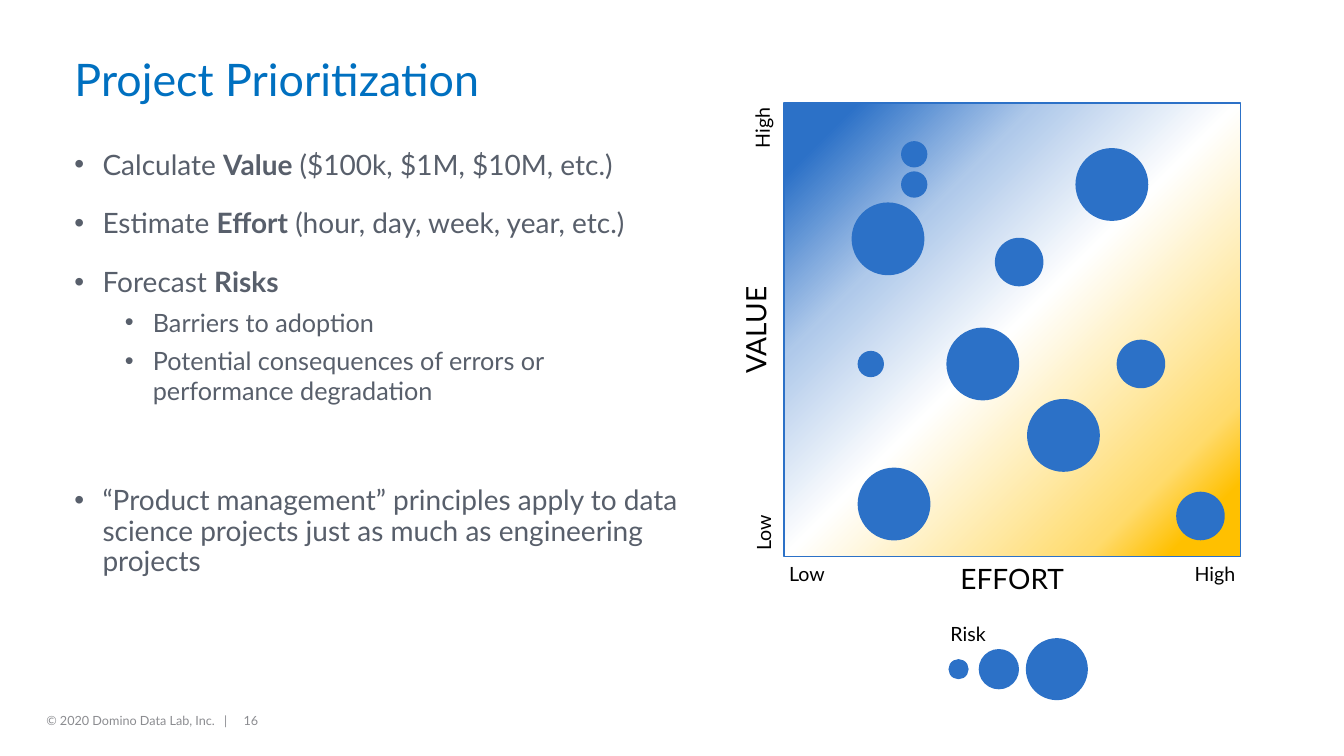
"""Build the project prioritization slide with its value and effort map."""
from lxml.etree import SubElement
from pptx import Presentation
from pptx.dml.color import RGBColor
from pptx.enum.shapes import MSO_SHAPE
from pptx.enum.text import MSO_ANCHOR, MSO_AUTO_SIZE, PP_ALIGN
from pptx.oxml.ns import qn
from pptx.util import Pt

FONT = "Lato"
BLUE = RGBColor(0x2C, 0x71, 0xC7)
TITLE_BLUE = RGBColor(0x00, 0x70, 0xC0)
SLATE = RGBColor(0x58, 0x5F, 0x6B)
GRAY = RGBColor(0x8B, 0x8C, 0x90)
BLACK = RGBColor(0, 0, 0)
LIGHT_BLUE = RGBColor(0xAF, 0xC9, 0xEA)
WHITE = RGBColor(0xFF, 0xFF, 0xFF)
LIGHT_GOLD = RGBColor(0xFF, 0xDB, 0x6D)
GOLD = RGBColor(0xFF, 0xC0, 0x00)
LEFT, CENTER, RIGHT = PP_ALIGN.LEFT, PP_ALIGN.CENTER, PP_ALIGN.RIGHT

TITLE = "Project Prioritization"
FOOTER = "© 2020 Domino Data Lab, Inc.\t|\t16"
FOOTER_TABS = (127, 141)

# level, space before, line spacing, runs as (text, bold)
BULLETS = [
    (0, 0, 1, [("Calculate ", False), ("Value", True),
               (" ($100k, $1M, $10M, etc.)", False)]),
    (0, 18, 1, [("Estimate ", False), ("Effort", True),
                (" (hour, day, week, year, etc.)", False)]),
    (0, 18, 1, [("Forecast ", False), ("Risks", True)]),
    (1, 6, 1, [("Barriers to adoption", False)]),
    (1, 6, 1, [("Potential consequences of errors or performance degradation",
                False)]),
    (0, 57.6, 0.9, [("“Product management” principles apply to data science "
                     "projects just as much as engineering projects", False)]),
]
LEVELS = {0: (20, 20), 1: (18, 56)}
HANGING = 20

MAP_BOX = (560, 73.5, 326, 324)
GRADIENT = [(8, BLUE), (28, LIGHT_BLUE), (50, WHITE), (83, LIGHT_GOLD), (92, GOLD)]
BUBBLES = {
    49: [(634.3, 170.6), (638.6, 360), (759.6, 311), (794.2, 131.8), (702, 260)],
    31.7: [(857.5, 368.6), (728, 187.2), (815, 260)],
    15.8: [(622, 260), (653, 110.2), (653, 131.8)],
}
LEGEND = [(754.9, 44.3), (713.5, 28.8), (684.7, 14.4)]
LEGEND_Y = 478
MAP_LABELS = [
    ("EFFORT", 20, (560, 397.5, 326, 35), 0, CENTER),
    ("VALUE", 20, (379.4, 218.2, 324, 35), 270, CENTER),
    ("High", 14, (504, 101.5, 83.5, 26.6), 270, RIGHT),
    ("Low", 14, (560, 397.5, 119, 26.6), 0, LEFT),
    ("High", 14, (824, 397.5, 62, 26.6), 0, RIGHT),
    ("Low", 14, (507, 344.2, 79.2, 26.6), 270, LEFT),
]
RISK_LABEL = ("Risk", 14, (648, 440.6, 87, 29.5), 0, CENTER)


def place(sp, box):
    sp.left, sp.top, sp.width, sp.height = map(Pt, box)


def style(font, size, color, bold=False):
    font.name, font.size, font.bold = FONT, Pt(size), bold
    font.color.rgb = color


def add_label(shapes, text, size, box, rotation, align, color=BLACK, inset=3.6):
    sp = shapes.add_textbox(*map(Pt, box))
    sp.rotation = rotation
    tf = sp.text_frame
    tf.word_wrap = True
    tf.margin_left = tf.margin_right = Pt(inset)
    tf.margin_top = tf.margin_bottom = Pt(3.6)
    tf.text = text
    p = tf.paragraphs[0]
    p.alignment = align
    for r in p.runs:
        style(r.font, size, color)
    return sp


def add_circle(shapes, x, y, size, line_width=0):
    sp = shapes.add_shape(MSO_SHAPE.OVAL, Pt(x - size / 2), Pt(y - size / 2),
                          Pt(size), Pt(size))
    sp.shadow.inherit = False
    sp.fill.solid()
    sp.fill.fore_color.rgb = BLUE
    if line_width:
        sp.line.color.rgb = BLUE
        sp.line.width = Pt(line_width)
    else:
        sp.line.fill.background()


def add_map_square(shapes):
    sp = shapes.add_shape(MSO_SHAPE.RECTANGLE, *map(Pt, MAP_BOX))
    sp.shadow.inherit = False
    sp.line.color.rgb = BLUE
    sp.line.width = Pt(1)
    sp.fill.gradient()
    sp.fill.gradient_angle = 315
    stops = sp._element.spPr.find(qn("a:gradFill")).find(qn("a:gsLst"))
    for stop in list(stops):
        stops.remove(stop)
    for position, color in GRADIENT:
        stop = SubElement(stops, qn("a:gs"), pos=str(position * 1000))
        SubElement(stop, qn("a:srgbClr"), val=str(color))


def add_bullet(p, level, before, spacing, runs):
    size, indent = LEVELS[level]
    p.level = level
    pPr = p._p.get_or_add_pPr()
    pPr.set("marL", str(Pt(indent)))
    pPr.set("indent", str(-Pt(HANGING)))
    SubElement(SubElement(pPr, qn("a:buClr")), qn("a:srgbClr"), val=str(SLATE))
    SubElement(pPr, qn("a:buFont"), typeface="Arial")
    SubElement(pPr, qn("a:buChar"), char="•")
    p.alignment = LEFT
    p.space_before, p.space_after = Pt(before), Pt(0)
    p.line_spacing = float(spacing)
    for text, bold in runs:
        r = p.add_run()
        r.text = text
        style(r.font, size, SLATE, bold)


def main():
    prs = Presentation()
    prs.slide_width, prs.slide_height = Pt(960), Pt(540)
    s = prs.slides.add_slide(prs.slide_layouts[1])
    title, body = s.placeholders

    place(title, (46, 14.4, 422, 88.6))
    tf = title.text_frame
    tf.text = TITLE
    tf.vertical_anchor = MSO_ANCHOR.MIDDLE
    tf.auto_size = MSO_AUTO_SIZE.NONE
    p = tf.paragraphs[0]
    p.alignment, p.line_spacing = LEFT, 0.9
    style(p.runs[0].font, 32, TITLE_BLUE)

    place(body, (46, 101.5, 454.3, 358.6))
    tf = body.text_frame
    tf.auto_size = MSO_AUTO_SIZE.NONE
    tf.vertical_anchor = MSO_ANCHOR.TOP
    for i, bullet in enumerate(BULLETS):
        add_bullet(tf.add_paragraph() if i else tf.paragraphs[0], *bullet)

    for x, size in LEGEND:
        add_circle(s.shapes, x, LEGEND_Y, size)
    add_label(s.shapes, *RISK_LABEL)

    chart = s.shapes.add_group_shape().shapes
    add_map_square(chart)
    for size, centers in BUBBLES.items():
        for x, y in centers:
            add_circle(chart, x, y, size, 3)
    for label in MAP_LABELS:
        add_label(chart, *label)

    footer = add_label(s.shapes, FOOTER, 9, (26, 500.4, 216, 28.8), 0, LEFT, GRAY, 7.2)
    footer.text_frame.vertical_anchor = MSO_ANCHOR.MIDDLE
    tabs = SubElement(footer.text_frame.paragraphs[0]._p.get_or_add_pPr(), qn("a:tabLst"))
    for stop in FOOTER_TABS:
        SubElement(tabs, qn("a:tab"), pos=str(Pt(stop)), algn="l")

    prs.save("out.pptx")


if __name__ == "__main__":
    main()
